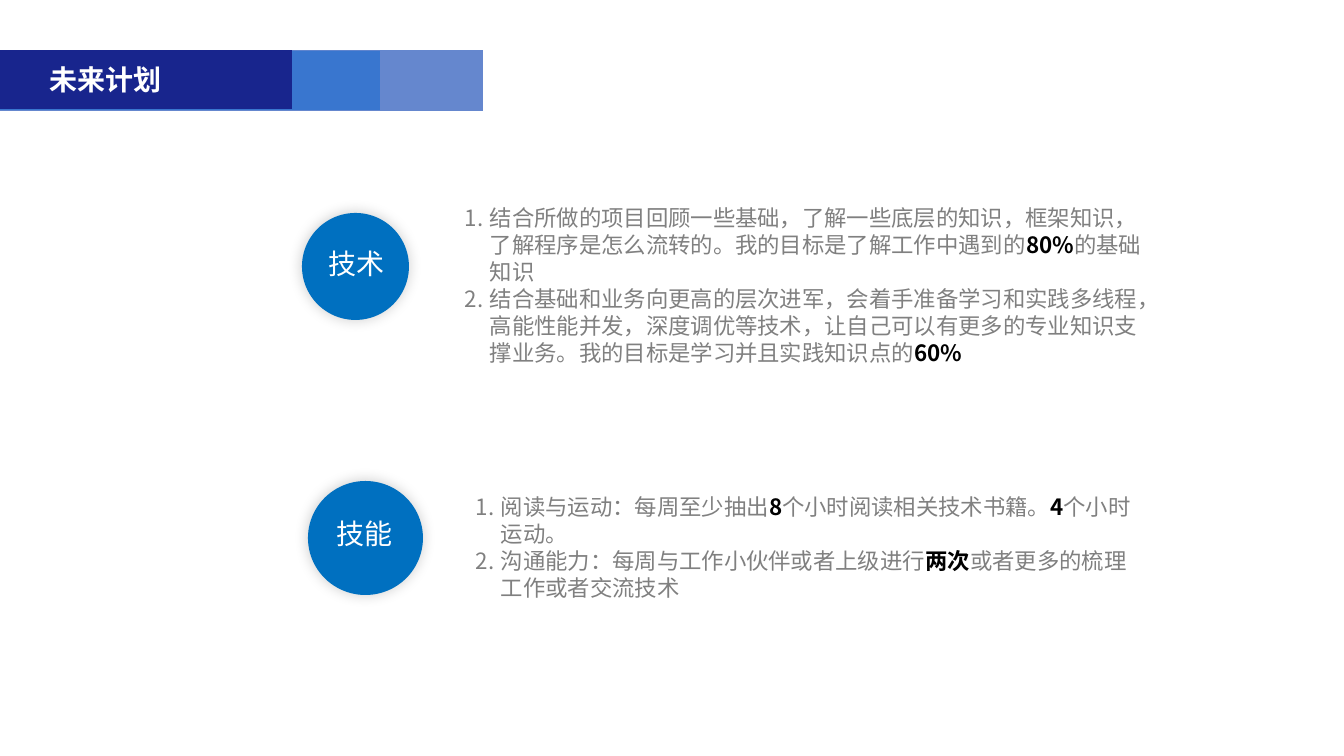
from dataclasses import dataclass

import lxml.etree
import pptx
import pptx.dml.color
import pptx.enum.shapes
import pptx.enum.text
import pptx.oxml.ns
import pptx.util

EMU_PER_PX = 914400 / 100.8
HANGING = 25


@dataclass(frozen=True)
class Theme:
    font: str = "Noto Sans CJK SC"
    heading_size: int = 20
    body_size: int = 16
    line_height: float = 1.205
    bars: tuple = ("6587CE", "3976CF", "18258D")
    circle: str = "0070C0"
    light: str = "FFFFFF"
    body: str = "808080"
    strong: str = "000000"


@dataclass(frozen=True)
class Box:
    left: int
    top: int
    width: int
    height: int

    def inner(self, left, top, width, height):
        return Box(self.left + left, self.top + top, width, height)

    def emu(self):
        return [px(n) for n in (self.left, self.top, self.width, self.height)]


THEME = Theme()

# Each item is a list of (text, is_strong) runs.
TECHNOLOGY = [
    [("结合所做的项目回顾一些基础，了解一些底层的知识，框架知识，了解程序是怎么流转的。"
      "我的目标是了解工作中遇到的", False),
     ("80%", True), ("的基础知识", False)],
    [("结合基础和业务向更高的层次进军，会着手准备学习和实践多线程，高能性能并发，"
      "深度调优等技术，让自己可以有更多的专业知识支撑业务。我的目标是学习并且实践知识点的", False),
     ("60%", True)],
]
SKILLS = [
    [("阅读与运动：每周至少抽出", False), ("8", True),
     ("个小时阅读相关技术书籍。", False), ("4", True), ("个小时运动。", False)],
    [("沟通能力：每周与工作小伙伴或者上级进行", False), ("两次", True),
     ("或者更多的梳理工作或者交流技术", False)],
]


def px(length):
    return pptx.util.Emu(round(length * EMU_PER_PX))


def rgb(color):
    return pptx.dml.color.RGBColor.from_string(color)


def add_child(parent, tag, **attributes):
    return lxml.etree.SubElement(parent, pptx.oxml.ns.qn(tag), attributes)


def format_paragraph(paragraph, size, color, bold=False):
    paragraph.alignment = pptx.enum.text.PP_ALIGN.LEFT
    paragraph.line_spacing = pptx.util.Pt(round(size * THEME.line_height, 1))
    font = paragraph.font
    font.name = THEME.font
    font.size = pptx.util.Pt(size)
    font.bold = bold
    font.color.rgb = rgb(color)
    properties = paragraph._p.get_or_add_pPr().find(pptx.oxml.ns.qn("a:defRPr"))
    add_child(properties, "a:ea", typeface=THEME.font)


def add_filled(shapes, kind, box, color):
    shape = shapes.add_shape(kind, *box.emu())
    shape.shadow.inherit = False
    shape.fill.solid()
    shape.fill.fore_color.rgb = rgb(color)
    shape.line.fill.background()
    return shape


def add_glow_shadow(shape):
    effects = shape._element.spPr.find(pptx.oxml.ns.qn("a:effectLst"))
    shadow = add_child(effects, "a:outerShdw", blurRad=str(pptx.util.Pt(10)),
                       dist="0", dir="0", algn="ctr", rotWithShape="0")
    add_child(add_child(shadow, "a:srgbClr", val="000000"), "a:alpha", val="20000")


def add_text_frame(shapes, box):
    frame = shapes.add_textbox(*box.emu()).text_frame
    frame.word_wrap = True
    return frame


def add_numbered_list(shapes, box, items):
    frame = add_text_frame(shapes, box)
    for index, runs in enumerate(items):
        paragraph = frame.add_paragraph() if index else frame.paragraphs[0]
        properties = paragraph._p.get_or_add_pPr()
        properties.set("marL", str(px(HANGING)))
        properties.set("indent", str(px(-HANGING)))
        add_child(properties, "a:buFont", typeface="+mj-lt")
        add_child(properties, "a:buAutoNum", type="arabicPeriod")
        format_paragraph(paragraph, THEME.body_size, THEME.body)
        for text, is_strong in runs:
            run = paragraph.add_run()
            run.text = text
            if is_strong:
                run.font.bold = True
                run.font.color.rgb = rgb(THEME.strong)


def add_header(slide, box, text):
    bars = (box, box.inner(0, 1, 380, 59), box.inner(0, 0, 292, 59))
    for bar, color in zip(bars, THEME.bars):
        add_filled(slide.shapes, pptx.enum.shapes.MSO_SHAPE.RECTANGLE, bar, color)

    title = slide.shapes.title
    title.left, title.top, title.width, title.height = box.inner(39, 7, 198, 44).emu()
    title.element.getparent().append(title.element)  # bring in front of the bars
    frame = title.text_frame
    frame.text = text
    frame.word_wrap = True
    frame.auto_size = pptx.enum.text.MSO_AUTO_SIZE.NONE
    frame.vertical_anchor = pptx.enum.text.MSO_ANCHOR.TOP
    format_paragraph(frame.paragraphs[0], THEME.heading_size, THEME.light, bold=True)


def add_plan(slide, box, circle, label, list_offset, name, items):
    """Place a labelled circle and, to its right, a numbered list filling the box."""
    shapes = slide.shapes.add_group_shape().shapes
    disc = add_filled(shapes, pptx.enum.shapes.MSO_SHAPE.OVAL, box.inner(*circle), THEME.circle)
    add_glow_shadow(disc)

    frame = add_text_frame(shapes, box.inner(*label))
    frame.text = name
    format_paragraph(frame.paragraphs[0], THEME.heading_size, THEME.light)

    left, top = list_offset
    add_numbered_list(shapes, box.inner(left, top, box.width - left, box.height - top), items)


def main():
    presentation = pptx.Presentation()
    presentation.slide_width, presentation.slide_height = px(1344), px(756)
    title_only = presentation.slide_layouts.get_by_name("Title Only")
    slide = presentation.slides.add_slide(title_only)
    add_header(slide, Box(0, 50, 483, 61), "未来计划")
    add_plan(slide, Box(302, 199, 853, 214), circle=(0, 14, 107, 107),
             label=(17, 42, 91, 44), list_offset=(153, 0), name="技术", items=TECHNOLOGY)
    add_plan(slide, Box(308, 481, 845, 197), circle=(0, 0, 115, 114),
             label=(19, 30, 153, 44), list_offset=(158, 7), name="技能", items=SKILLS)
    presentation.save("out.pptx")


if __name__ == "__main__":
    main()
